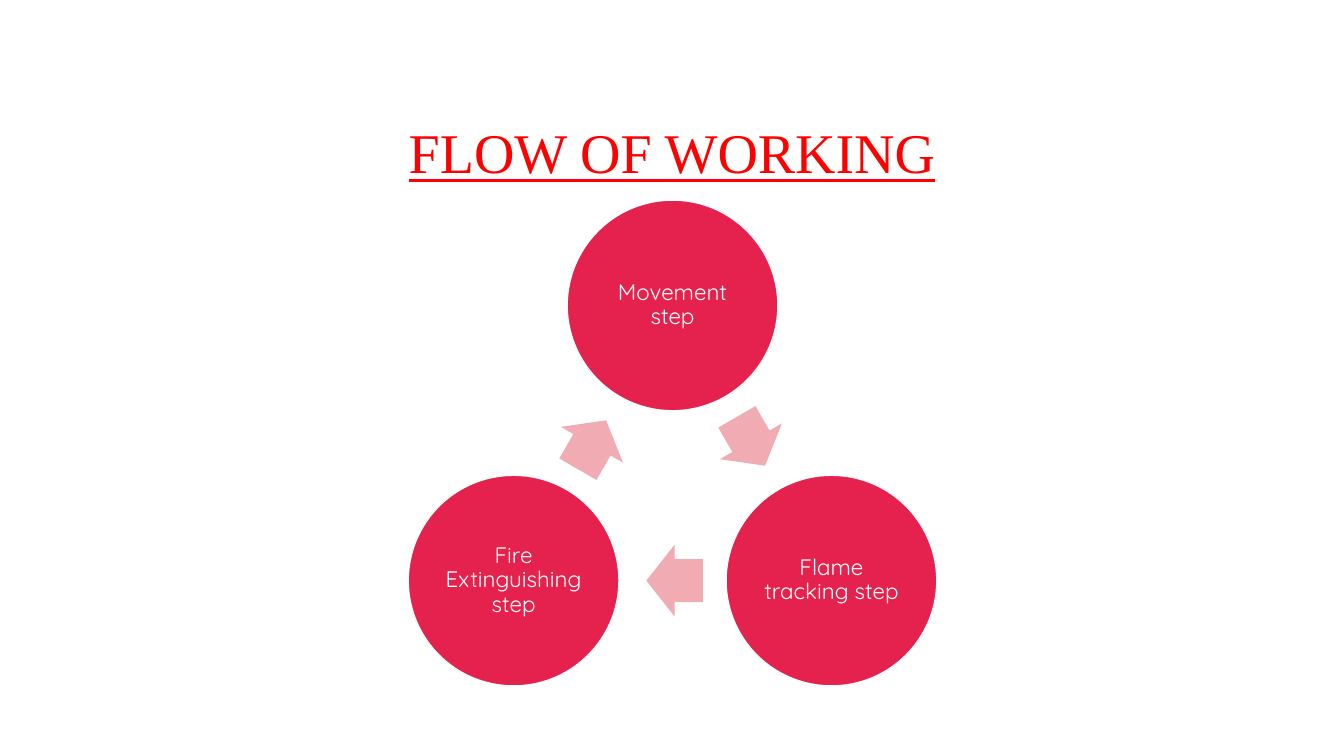
from math import cos, radians, sin

from pptx import Presentation
from pptx.dml.color import RGBColor
from pptx.enum.shapes import MSO_SHAPE
from pptx.enum.text import MSO_ANCHOR, PP_ALIGN
from pptx.util import Inches, Pt

COLORS = {"title": "FF0000", "circle": "E5224E", "arrow": "F0ACB2", "white": "FFFFFF"}
STEPS = ["Movement step", "Flame tracking step", "Fire Extinguishing step"]

# Cycle geometry in inches
CENTER_X, CENTER_Y, RADIUS = 6.67, 4.85, 1.82
CIRCLE_SIZE = 2.09
ARROW_WIDTH, ARROW_HEIGHT, ARROW_SETBACK = 0.56, 0.71, 0.02


class CycleSlide:
    title_font = "Times New Roman"
    step_font = "Quicksand"

    def __init__(self, page):
        self.page = page

    def add_text(self, frame, text, font, size, color, underline=False):
        frame.word_wrap = True
        frame.vertical_anchor = MSO_ANCHOR.MIDDLE
        para = frame.paragraphs[0]
        para.alignment = PP_ALIGN.CENTER
        para.line_spacing = 0.9
        span = para.add_run()
        span.text = text
        span.font.name = font
        span.font.size = Pt(size)
        span.font.underline = underline
        span.font.color.rgb = RGBColor.from_string(COLORS[color])

    def title(self, text, left, top, width, height):
        box = self.page.shapes.add_textbox(
            Inches(left), Inches(top), Inches(width), Inches(height))
        self.add_text(box.text_frame, text, self.title_font, 40, "title", underline=True)

    def shape(self, kind, x, y, width, height, color):
        """Add a filled shape centred on x, y."""
        shape = self.page.shapes.add_shape(
            kind, Inches(x - width / 2), Inches(y - height / 2),
            Inches(width), Inches(height))
        shape.shadow.inherit = False
        shape.fill.solid()
        shape.fill.fore_color.rgb = RGBColor.from_string(COLORS[color])
        return shape

    def circle(self, text, x, y):
        circle = self.shape(MSO_SHAPE.OVAL, x, y, CIRCLE_SIZE, CIRCLE_SIZE, "circle")
        circle.line.color.rgb = RGBColor.from_string(COLORS["white"])
        circle.line.width = Pt(1)
        frame = circle.text_frame
        frame.margin_left = frame.margin_right = Inches(0.02)
        frame.margin_top = frame.margin_bottom = Inches(0.02)
        self.add_text(frame, text, self.step_font, 16, "white")

    def arrow(self, x, y, rotation):
        arrow = self.shape(
            MSO_SHAPE.RIGHT_ARROW, x, y, ARROW_WIDTH, ARROW_HEIGHT, "arrow")
        arrow.line.fill.background()
        arrow.adjustments[0] = 0.6
        arrow.adjustments[1] = 0.5
        arrow.rotation = rotation


def main():
    deck = Presentation()
    deck.slide_width, deck.slide_height = Inches(13.33), Inches(7.5)
    slide = CycleSlide(deck.slides.add_slide(deck.slide_layouts[6]))

    # Title
    slide.title("FLOW OF WORKING", 0.75, 0.84, 11.83, 1.41)

    # Steps clockwise from the top, each followed by an arrow to the next
    turn = 360 / len(STEPS)
    for index, step in enumerate(STEPS):
        angle = radians(index * turn - 90)
        slide.circle(step, CENTER_X + RADIUS * cos(angle), CENTER_Y + RADIUS * sin(angle))

        middle = angle + radians(turn / 2)
        reach = RADIUS * cos(radians(turn / 2))
        rotation = (index + 0.5) * turn
        heading = radians(rotation)
        slide.arrow(
            CENTER_X + reach * cos(middle) - ARROW_SETBACK * cos(heading),
            CENTER_Y + reach * sin(middle) - ARROW_SETBACK * sin(heading),
            rotation)

    deck.save("out.pptx")


if __name__ == "__main__":
    main()
